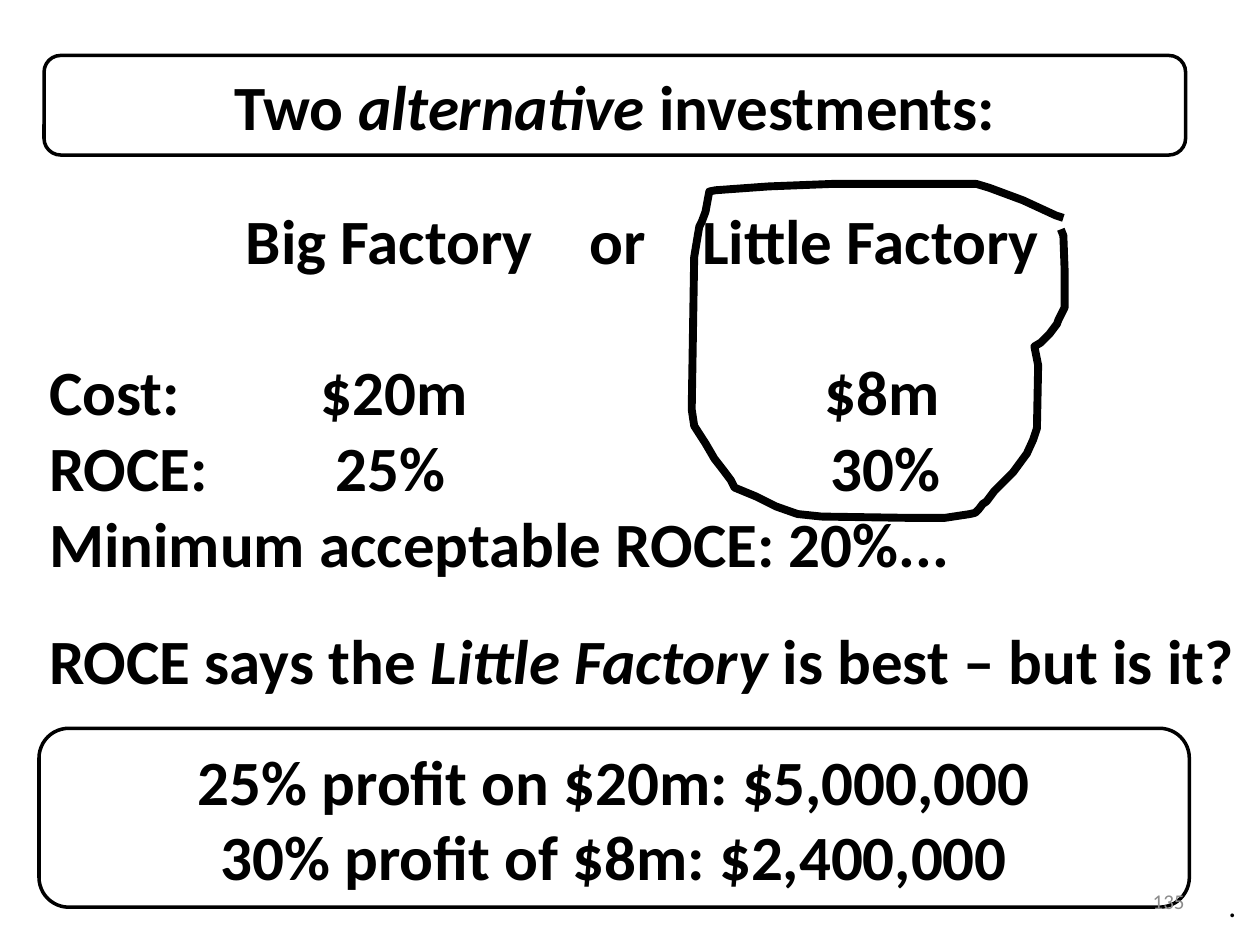
from lxml.etree import SubElement
from pptx import Presentation
from pptx.dml.color import RGBColor
from pptx.enum.shapes import MSO_SHAPE
from pptx.enum.text import MSO_ANCHOR, MSO_AUTO_SIZE, PP_ALIGN
from pptx.oxml.ns import qn
from pptx.util import Inches, Pt

BLACK = RGBColor(0x00, 0x00, 0x00)
GREY = RGBColor(0x8C, 0x8C, 0x8C)
FONT = "Calibri"

# Content: each paragraph is a list of (text, italic) runs
TITLE = [("Two ", False), ("alternative", True), (" investments:", False)]
BODY = [  # runs, space before in points
    ([("Cost:", False)], 0),
    ([("ROCE:", False)], 0),
    ([("Minimum acceptable ROCE: 20%...", False)], 0),
    ([("ROCE says the ", False), ("Little Factory ", True),
      ("is best – but is it?", False)], 24),
]
CELLS = [  # row top, then (text, column centre)
    (1.55, [("Big Factory", 3.09), ("or", 4.9), ("Little Factory", 6.91)]),
    (2.75, [("$20m", 3.13), ("$8m", 7.0)]),
    (3.35, [("25%", 3.1), ("30%", 7.03)]),
]
CELL_W, CELL_H = 3, 0.7
PROFIT = [
    [("25% profit on $20m: $5,000,000", False)],
    [("30% profit of $8m: $2,400,000", False)],
]
SMALL = [  # text, place, size, colour, alignment, anchor
    ("135", (7.17, 6.95, 2.33, 0.4), 12, GREY, PP_ALIGN.RIGHT, MSO_ANCHOR.MIDDLE),
    (".", (9.65, 6.98, 0.42, 0.4), 18, BLACK, PP_ALIGN.LEFT, MSO_ANCHOR.TOP),
]
TITLE_BOX = (0.35, 0.44, 9.06, 0.79)
LOOP = [  # hand-drawn ring round the Little Factory
    (8.44, 1.73), (8.38, 1.71), (8.12, 1.59), (7.85, 1.49), (7.75, 1.46),
    (6.6, 1.46), (6.1, 1.48), (5.68, 1.51), (5.63, 1.52), (5.62, 1.57),
    (5.6, 1.68), (5.57, 1.76), (5.55, 1.8), (5.51, 2.04), (5.49, 3.25),
    (5.51, 3.38), (5.6, 3.52), (5.67, 3.64), (5.74, 3.73), (5.8, 3.81),
    (5.83, 3.87), (6, 3.94), (6.16, 4.02), (6.33, 4.08), (6.52, 4.1),
    (7.2, 4.11), (7.5, 4.11), (7.7, 4.08), (7.74, 4.07), (7.77, 4.04),
    (7.8, 4), (7.83, 3.98), (7.89, 3.9), (8.04, 3.75), (8.15, 3.6),
    (8.2, 3.49), (8.23, 3.4), (8.24, 2.9), (8.21, 2.75), (8.26, 2.72),
    (8.33, 2.65), (8.39, 2.57), (8.4, 2.54), (8.45, 2.44), (8.45, 2.15),
    (8.44, 1.87), (8.42, 1.82),
]


def place(shape, box):
    shape.left, shape.top, shape.width, shape.height = map(Inches, box)


def style(font, size, color=BLACK, bold=True):
    font.name, font.size, font.bold = FONT, Pt(size), bold
    font.color.rgb = color


def write(para, runs, align=PP_ALIGN.LEFT, before=0):
    para.alignment = align
    para.space_before = Pt(before)
    for text, slant in runs:
        run = para.add_run()
        run.text = text
        run.font.italic = slant
        style(run.font, 36)


def stroke(shape, width):
    shape.shadow.inherit = False
    shape.fill.background()
    shape.line.color.rgb = BLACK
    shape.line.width = Pt(width)


def add_panel(box):
    panel = shapes.add_shape(MSO_SHAPE.ROUNDED_RECTANGLE, *map(Inches, box))
    stroke(panel, 2)
    return panel


def add_label(box):
    frame = shapes.add_textbox(*map(Inches, box)).text_frame
    frame.word_wrap = True
    return frame


def next_para(frame, index):
    return frame.add_paragraph() if index else frame.paragraphs[0]


def plain(para):
    """Drop the bullet and indent."""
    props = para._p.get_or_add_pPr()
    props.set("marL", "0")
    props.set("indent", "0")
    SubElement(props, qn("a:buNone"))


deck = Presentation()
deck.slide_width, deck.slide_height = Inches(10), Inches(7.5)
slide = deck.slides.add_slide(deck.slide_layouts[1])
shapes = slide.shapes

# Title in a rounded frame
add_panel(TITLE_BOX)
title = shapes.title
place(title, TITLE_BOX)
title.text_frame.auto_size = MSO_AUTO_SIZE.NONE
title.text_frame.vertical_anchor = MSO_ANCHOR.MIDDLE
write(title.text_frame.paragraphs[0], TITLE, PP_ALIGN.CENTER)

# Row names and verdict
body = slide.placeholders[1]
place(body, (0.29, 2.75, 9.71, 2.87))
body.text_frame.auto_size = MSO_AUTO_SIZE.NONE
for i, (runs, gap) in enumerate(BODY):
    para = next_para(body.text_frame, i)
    plain(para)
    write(para, runs, before=gap)

# Factory columns, centred under their heads
for top, row in CELLS:
    for text, mid in row:
        frame = add_label((mid - CELL_W / 2, top, CELL_W, CELL_H))
        write(frame.paragraphs[0], [(text, False)], PP_ALIGN.CENTER)

# Profit box
panel = add_panel((0.31, 5.78, 9.13, 1.42))
panel.text_frame.vertical_anchor = MSO_ANCHOR.MIDDLE
for i, runs in enumerate(PROFIT):
    write(next_para(panel.text_frame, i), runs, PP_ALIGN.CENTER)

# Page number and full stop
for text, box, size, color, align, anchor in SMALL:
    frame = add_label(box)
    frame.vertical_anchor = anchor
    para = frame.paragraphs[0]
    para.alignment = align
    run = para.add_run()
    run.text = text
    style(run.font, size, color, False)

# Ring
points = [(Inches(x), Inches(y)) for x, y in LOOP]
pen = shapes.build_freeform(*points[0])
pen.add_line_segments(points[1:], close=False)
stroke(pen.convert_to_shape(), 4.5)

deck.save("out.pptx")
